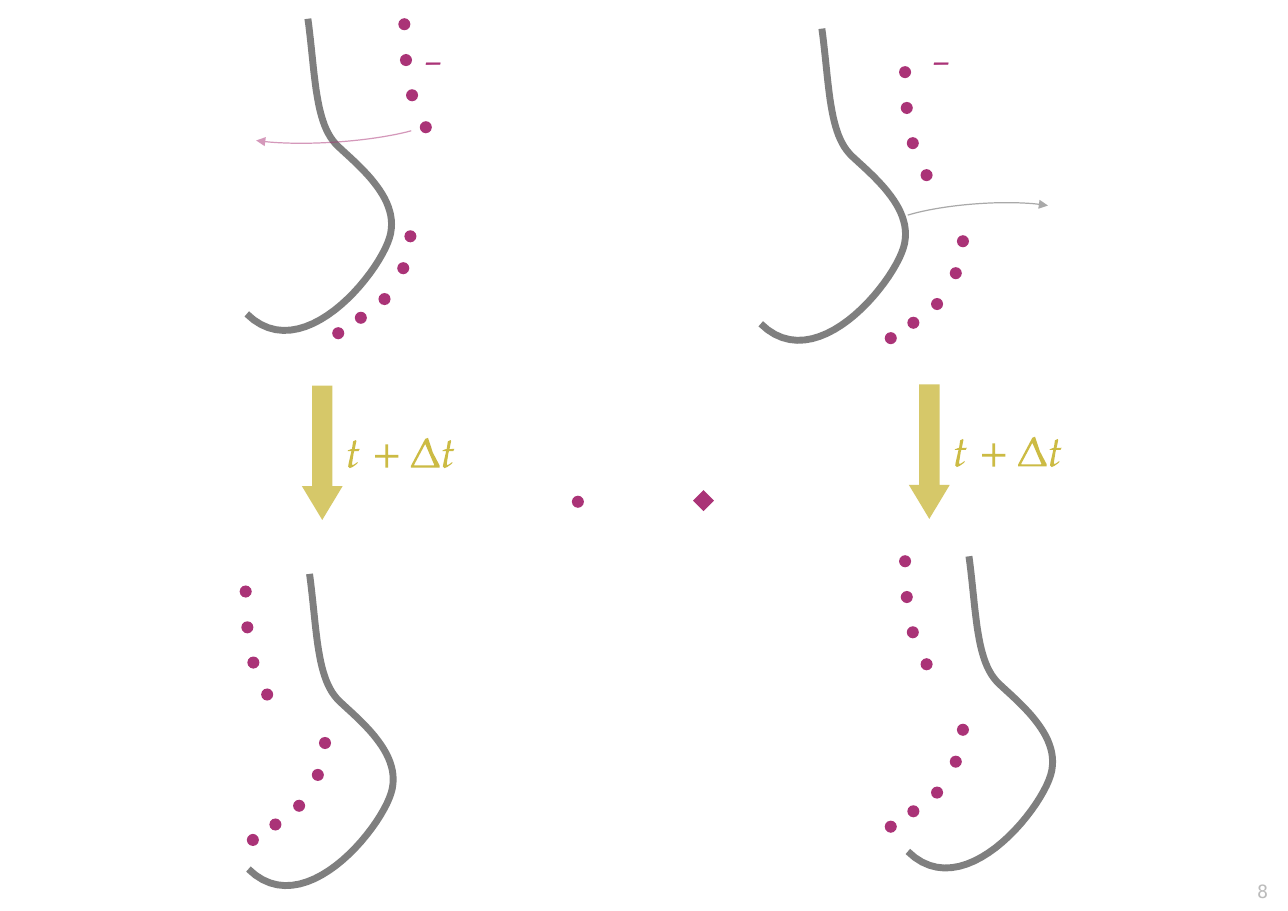
from pptx import Presentation
from pptx.dml.color import RGBColor
from pptx.enum.shapes import MSO_SHAPE
from pptx.enum.text import MSO_ANCHOR, PP_ALIGN
from pptx.oxml.ns import qn
from pptx.util import Inches, Pt
from lxml import etree

CELL = Inches(0.1)
COLUMNS, ROWS = 116.9, 82.7
PURPLE = RGBColor(0xAA, 0x33, 0x77)
OLIVE = RGBColor(0xCC, 0xBB, 0x44)
GRAY = RGBColor(0x55, 0x55, 0x55)
PALE = RGBColor(0xBB, 0xBB, 0xBB)
ELLIPSE, DIAMOND = MSO_SHAPE.OVAL, MSO_SHAPE.DIAMOND
DOWN_ARROW, ARC = MSO_SHAPE.DOWN_ARROW, MSO_SHAPE.ARC
LEFT, RIGHT, TOP = PP_ALIGN.LEFT, PP_ALIGN.RIGHT, MSO_ANCHOR.TOP

DOT = 1.1
CURVE_START = (5.55, 0)
CURVE_BENDS = [
    ((6.25, 5.2), (6.15, 9.6), (8.3, 11.6)),
    ((10.45, 13.6), (14, 16.5), (12.95, 19.9)),
    ((11.9, 23.3), (5, 31.7), (0, 26.8)),
]
STEPS = 24
UPPER_DOTS = [(0, 0), (0.15, 3.25), (0.7, 6.45), (1.95, 9.35)]
LOWER_DOTS = [(0, 0), (-0.65, 2.9), (-2.35, 5.7), (-4.5, 7.4), (-6.55, 8.8)]
SCENES = [
    ((22.4, 1.7), (36.15, 1.65), (36.7, 20.9)),
    ((69.05, 2.6), (81.6, 6), (86.85, 21.35)),
    ((22.55, 52.1), (21.75, 53.15), (28.95, 66.9)),
    ((82.4, 50.5), (81.6, 50.4), (86.85, 65.7)),
]
TIME_STEPS = [(27.4, 35), (82.5, 34.9)]
MINUS_SIGNS = [(37.5, 3.2), (83.6, 3.2)]

LETTER_T = [[
    (0.9, 2.3), (0.9, 2.2), (0.7, 2.35), (0.45, 2.5), (0.4, 2.35), (0.55, 1.4),
    (0.6, 1.2), (1, 1.2), (1.1, 1), (0.65, 1.03), (0.8, 0.3), (0.75, 0.2),
    (0.5, 0.33), (0.4, 1), (0.05, 1.13), (0, 1.2), (0.35, 1.2), (0.1, 2.3),
    (0.05, 2.6), (0.2, 2.75), (0.45, 2.65), (0.8, 2.4),
]]
PLUS = [[
    (2.1, 1.2), (2.1, 0.95), (1.18, 0.95), (1.18, 0), (0.93, 0), (0.93, 0.95),
    (0, 0.95), (0, 1.2), (0.93, 1.2), (0.93, 2.1), (1.18, 2.1), (1.18, 1.2),
]]
DELTA = [
    [(1.3, 0.1), (0, 2.55), (0, 2.7), (2.6, 2.7), (2.6, 2.5), (2, 1.35), (1.55, 0)],
    [(2.1, 2.5), (0.3, 2.5), (0.3, 2.43), (1.28, 0.6), (1.32, 0.6), (2.13, 2.47)],
]
FORMULA = [(LETTER_T, 0, 0), (PLUS, 2.5, 0.6), (DELTA, 5.75, 0), (LETTER_T, 8.6, 0)]


def grid(*cells):
    return [round(cell * CELL) for cell in cells]


def set_opacity(fill, percent):
    color = fill._xPr.find(qn("a:solidFill"))[0]
    etree.SubElement(color, qn("a:alpha"), val=str(percent * 1000))


def paint(shape, color):
    shape.shadow.inherit = False
    shape.fill.solid()
    shape.fill.fore_color.rgb = color
    shape.line.fill.background()


def draw_line(shape, color, width, opacity):
    shape.shadow.inherit = False
    shape.fill.background()
    shape.line.color.rgb = color
    shape.line.width = Pt(width)
    set_opacity(shape.line.fill, opacity)


def add_solid(shapes, kind, left, top, width, height, color):
    shape = shapes.add_shape(kind, *grid(left, top, width, height))
    paint(shape, color)
    return shape


def add_dots(shapes, origin, offsets):
    for across, down in offsets:
        add_solid(shapes, ELLIPSE, origin[0] + across, origin[1] + down, DOT, DOT, PURPLE)


def add_outline(shapes, left, top, contours, close):
    placed = [[grid(left + x, top + y) for x, y in contour] for contour in contours]
    builder = shapes.build_freeform(*placed[0][0])
    for index, points in enumerate(placed):
        if index:
            builder.move_to(*points[0])
        builder.add_line_segments(points[1:], close=close)
    return builder.convert_to_shape()


def bend_points(start, first, second, end):
    for step in range(1, STEPS + 1):
        t = step / STEPS
        yield tuple(
            (1 - t) ** 3 * a + 3 * t * (1 - t) ** 2 * b + 3 * t ** 2 * (1 - t) * c + t ** 3 * d
            for a, b, c, d in zip(start, first, second, end)
        )


def add_curve(shapes, origin):
    points = [CURVE_START]
    for bend in CURVE_BENDS:
        points.extend(bend_points(points[-1], *bend))
    draw_line(add_outline(shapes, *origin, [points], False), GRAY, 4.5, 75)


def add_scene(page, curve, upper, lower):
    group = page.shapes.add_group_shape()
    add_curve(group.shapes, curve)
    add_dots(group.shapes, upper, UPPER_DOTS)
    add_dots(group.shapes, lower, LOWER_DOTS)


def add_arc_arrow(page, left, top, width, rotation, angles, color):
    arc = page.shapes.add_shape(ARC, *grid(left, top, width, 3.7))
    arc.rotation = rotation
    arc.adjustments[0], arc.adjustments[1] = angles
    draw_line(arc, color, 0.79, 50)
    etree.SubElement(arc.line._get_or_add_ln(), qn("a:tailEnd"), type="triangle")


def add_text(page, left, top, width, height, text, font, size, color, align=LEFT, bold=False):
    box = page.shapes.add_textbox(*grid(left, top, width, height))
    frame = box.text_frame
    frame.word_wrap = False
    frame.vertical_anchor = TOP
    para = frame.paragraphs[0]
    para.alignment = align
    span = para.add_run()
    span.text = text
    span.font.name = font
    span.font.size = Pt(size)
    span.font.bold = bold
    span.font.color.rgb = color


def add_formula(page, left, top):
    group = page.shapes.add_group_shape()
    for contours, across, down in FORMULA:
        paint(add_outline(group.shapes, left + across, top + down, contours, True), OLIVE)


def add_time_step(page, left, top):
    arrow = add_solid(page.shapes, DOWN_ARROW, left, top, 3.7, 12.2, OLIVE)
    arrow.adjustments[0], arrow.adjustments[1] = 0.5, 0.83
    set_opacity(arrow.fill, 80)
    add_formula(page, left + 4.15, top + 4.75)


def main():
    deck = Presentation()
    deck.slide_width, deck.slide_height = grid(COLUMNS, ROWS)
    page = deck.slides.add_slide(deck.slide_layouts[6])
    for scene in SCENES:
        add_scene(page, *scene)
    for place in TIME_STEPS:
        add_time_step(page, *place)
    add_arc_arrow(page, 20.8, 9.2, 19.2, 356.1, (6.42, 102.29), PURPLE)
    add_arc_arrow(page, 80, 18.5, 17.3, 175.7, (7.09, 101.77), GRAY)
    for left, top in MINUS_SIGNS:
        add_text(page, left, top, 3.4, 5, "–", "Vollkorn", 21, PURPLE, bold=True)
    add_solid(page.shapes, ELLIPSE, 51.9, 45, DOT, DOT, PURPLE)
    add_solid(page.shapes, DIAMOND, 62.9, 44.5, 1.9, 1.9, PURPLE)
    add_text(page, 106.1, 79.4, 10, 2.9, "8", "DejaVu Sans Mono", 12, PALE, align=RIGHT)
    deck.save("out.pptx")


if __name__ == "__main__":
    main()
